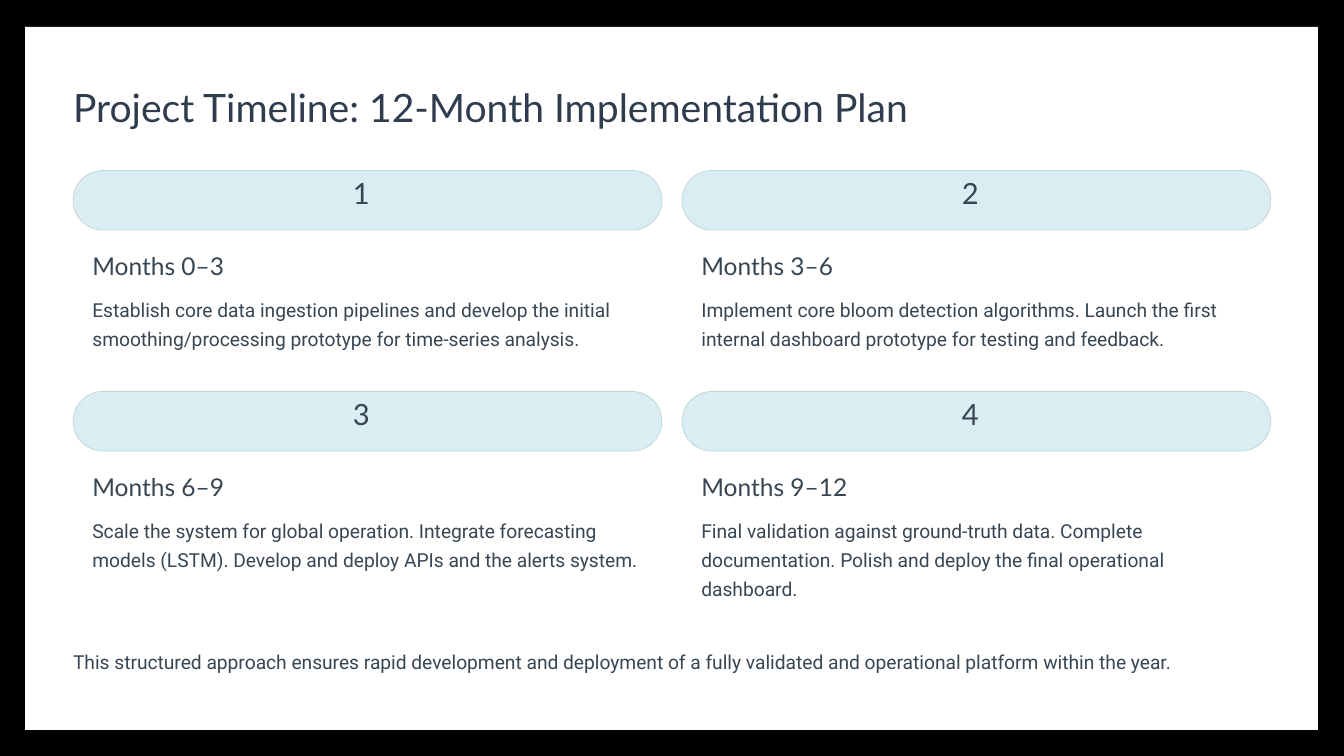
"""Build the 12-month project timeline slide."""
from dataclasses import dataclass

from pptx import Presentation
from pptx.dml.color import RGBColor
from pptx.enum.shapes import MSO_SHAPE as Preset
from pptx.slide import Slide
from pptx.util import Inches, Pt

COLOURS = {
    "surround": "000000",
    "page": "FFFFFF",
    "title": "2E3C4E",
    "text": "384653",
    "pill": "D9EDF2",
    "pill_line": "BFD3D8",
}


@dataclass(frozen=True)
class TextStyle:
    font: str
    size: float
    line_spacing: float
    colour: str = "text"
    wrap: bool = False


@dataclass(frozen=True)
class Phase:
    months: str
    summary: str


TITLE = TextStyle("Lato", 33.5, 42, "title")
NUMBER = TextStyle("Lato", 25, 25)
HEADING = TextStyle("Lato", 21, 26.5)
SUMMARY = TextStyle("Roboto", 16.5, 25, wrap=True)
CLOSING = TextStyle("Roboto", 16.5, 25)

PHASES = [
    Phase("Months 0–3", "Establish core data ingestion pipelines and develop the initial "
          "smoothing/processing prototype for time-series analysis."),
    Phase("Months 3–6", "Implement core bloom detection algorithms. Launch the first "
          "internal dashboard prototype for testing and feedback."),
    Phase("Months 6–9", "Scale the system for global operation. Integrate forecasting "
          "models (LSTM). Develop and deploy APIs and the alerts system."),
    Phase("Months 9–12", "Final validation against ground-truth data. Complete "
          "documentation. Polish and deploy the final operational dashboard."),
]

MARGIN, GRID_TOP = 0.87, 2.03
COLUMN_STEP, ROW_STEP = 7.25, 2.63
SUMMARY_HEIGHTS = (0.71, 1.06)


def colour(name: str) -> RGBColor:
    return RGBColor.from_string(COLOURS[name])


def add_text(slide: Slide, text: str, style: TextStyle,
             left: float, top: float, width: float, height: float) -> None:
    box = slide.shapes.add_textbox(Inches(left), Inches(top), Inches(width), Inches(height))
    frame = box.text_frame
    frame.margin_left = frame.margin_top = frame.margin_right = frame.margin_bottom = 0
    frame.word_wrap = style.wrap
    paragraph = frame.paragraphs[0]
    paragraph.line_spacing = Pt(style.line_spacing)
    run = paragraph.add_run()
    run.text = text
    run.font.name = style.font
    run.font.size = Pt(style.size)
    run.font.color.rgb = colour(style.colour)


def add_page(slide: Slide) -> None:
    background = slide.background.fill
    background.solid()
    background.fore_color.rgb = colour("surround")
    page = slide.shapes.add_shape(
        Preset.RECTANGLE, Inches(0.3), Inches(0.32), Inches(15.39), Inches(8.37))
    page.shadow.inherit = False
    page.fill.solid()
    page.fill.fore_color.rgb = colour("page")
    page.line.fill.background()


def add_pill(slide: Slide, left: float, top: float) -> None:
    pill = slide.shapes.add_shape(
        Preset.ROUNDED_RECTANGLE, Inches(left), Inches(top), Inches(7.01), Inches(0.71))
    pill.adjustments[0] = 0.5
    pill.shadow.inherit = False
    pill.fill.solid()
    pill.fill.fore_color.rgb = colour("pill")
    pill.line.color.rgb = colour("pill_line")
    pill.line.width = Pt(0.6)


def add_phase(slide: Slide, index: int, phase: Phase) -> None:
    row, column = divmod(index, 2)
    left = MARGIN + column * COLUMN_STEP
    top = GRID_TOP + row * ROW_STEP
    add_pill(slide, left, top)
    add_text(slide, str(index + 1), NUMBER, left + 3.33, top + 0.13, 0.35, 0.44)
    add_text(slide, phase.months, HEADING, left + 0.23, top + 0.94, 2.94, 0.37)
    add_text(slide, phase.summary, SUMMARY, left + 0.23, top + 1.45, 6.54, SUMMARY_HEIGHTS[row])


def main() -> None:
    deck = Presentation()
    deck.slide_width, deck.slide_height = Inches(16), Inches(9)
    slide = deck.slides.add_slide(deck.slide_layouts[6])
    add_page(slide)
    add_text(slide, "Project Timeline: 12-Month Implementation Plan", TITLE,
             MARGIN, 0.97, 10.43, 0.59)
    for index, phase in enumerate(PHASES):
        add_phase(slide, index, phase)
    add_text(slide, "This structured approach ensures rapid development and deployment of a "
             "fully validated and operational platform within the year.", CLOSING,
             MARGIN, 7.67, 14.26, 0.35)
    deck.save("out.pptx")


if __name__ == "__main__":
    main()
